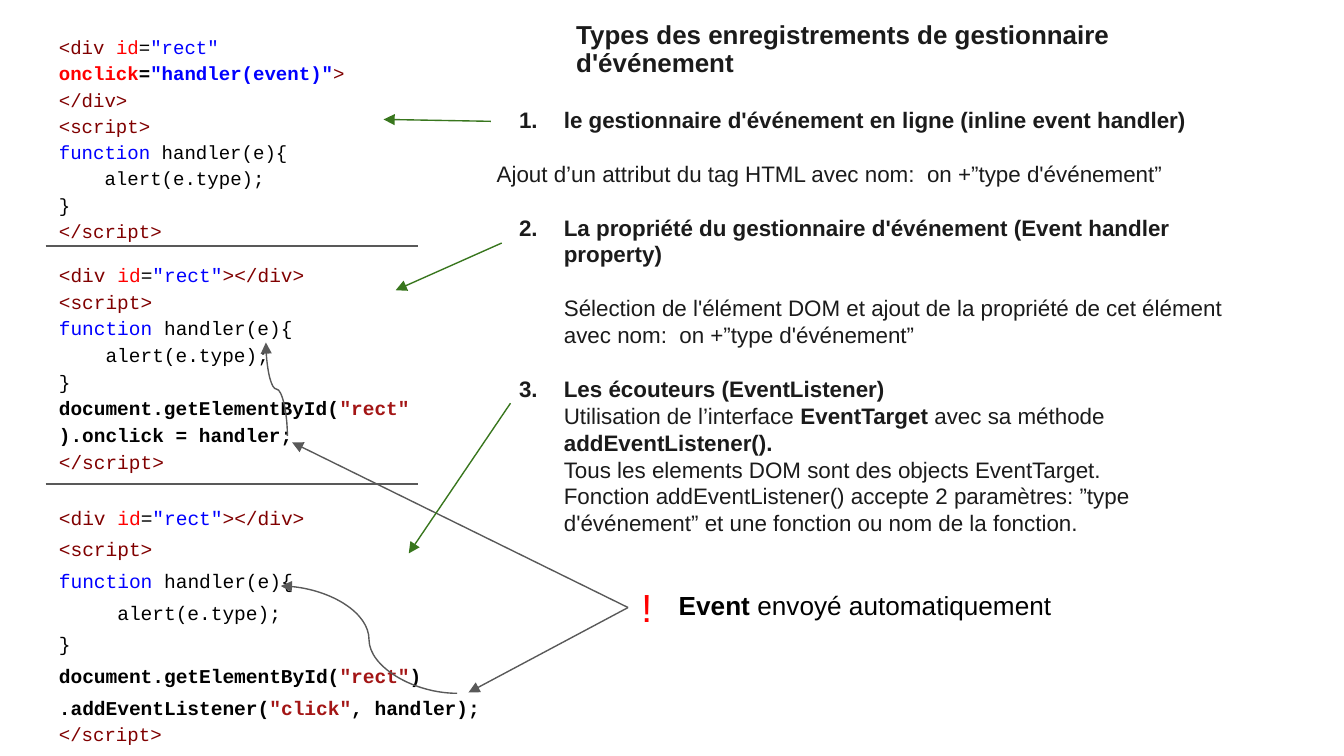
from lxml.etree import SubElement
from pptx import Presentation
from pptx.dml.color import RGBColor
from pptx.enum.shapes import MSO_CONNECTOR as CONNECTOR
from pptx.enum.text import MSO_ANCHOR as ANCHOR, MSO_AUTO_SIZE as AUTO_SIZE, PP_ALIGN as ALIGN
from pptx.oxml.ns import qn
from pptx.util import Pt

BLACK = RGBColor(0x00, 0x00, 0x00)
INK = RGBColor(0x1B, 0x1B, 0x1B)
GRAY = RGBColor(0x59, 0x59, 0x59)
GREEN = RGBColor(0x38, 0x76, 0x1D)
RED = RGBColor(0xFF, 0x00, 0x00)
BLUE = RGBColor(0x00, 0x00, 0xFF)
TAG = RGBColor(0x80, 0x00, 0x00)
STRING = RGBColor(0xA3, 0x15, 0x15)

SANS, MONO = "Arial", "Courier New"
LINE_GAP = 14.4
INDENT, HANGING = 36, 24


class SlideBuilder:
    """Holds the shared text and line style and the slide being filled."""

    inset = 7.2
    line_width = 0.75

    def __init__(self, slide):
        self.slide = slide

    def prepare(self, shape):
        """Give a text shape the common frame settings and return its frame."""
        frame = shape.text_frame
        frame.word_wrap = True
        frame.auto_size = AUTO_SIZE.NONE
        frame.vertical_anchor = ANCHOR.TOP
        frame.margin_left = frame.margin_right = Pt(self.inset)
        frame.margin_top = frame.margin_bottom = Pt(self.inset)
        return frame

    def add_run(self, paragraph, text, font, size, color, bold=False):
        run = paragraph.add_run()
        run.text = text
        run.font.name = font
        run.font.size = Pt(size)
        run.font.bold = bold
        run.font.color.rgb = color

    def title(self, text, left, top, width, height, size):
        shape = self.slide.shapes.title
        shape.left, shape.top = Pt(left), Pt(top)
        shape.width, shape.height = Pt(width), Pt(height)
        paragraph = self.prepare(shape).paragraphs[0]
        paragraph.alignment = ALIGN.LEFT
        paragraph.line_spacing = 0.9
        self.add_run(paragraph, text, SANS, size, INK, True)

    def text_box(self, left, top, width, height):
        return self.prepare(self.slide.shapes.add_textbox(
            Pt(left), Pt(top), Pt(width), Pt(height)))

    def paragraph(self, frame, first):
        return frame.paragraphs[0] if first else frame.add_paragraph()

    def code(self, left, top, width, height, size, lines, spacing=1.15, last_size=None):
        """Add a code listing; its last line may have its own size and 1.15 spacing."""
        frame = self.text_box(left, top, width, height)
        for index, runs in enumerate(lines):
            paragraph = self.paragraph(frame, index == 0)
            is_last = index == len(lines) - 1
            paragraph.line_spacing = 1.15 if is_last else spacing
            run_size = last_size if is_last and last_size else size
            for text, *style in runs:
                self.add_run(paragraph, text, MONO, run_size, *style)

    def explanations(self, left, top, width, height, size, entries):
        """Add paragraphs given as (number, indent, space before, runs)."""
        frame = self.text_box(left, top, width, height)
        for index, (number, indent, before, runs) in enumerate(entries):
            paragraph = self.paragraph(frame, index == 0)
            paragraph.space_before = Pt(before)
            properties = paragraph._p.get_or_add_pPr()
            properties.set("marL", str(Pt(indent)))
            properties.set("indent", str(Pt(-HANGING if number else 0)))
            if number:
                bullet = SubElement(properties, qn("a:buAutoNum"))
                bullet.set("type", "arabicPeriod")
                bullet.set("startAt", str(number))
            for text, bold in runs:
                self.add_run(paragraph, text, SANS, size, INK, bold)

    def label(self, left, top, width, height, size, runs):
        paragraph = self.text_box(left, top, width, height).paragraphs[0]
        for text, *style in runs:
            self.add_run(paragraph, text, SANS, size, *style)

    def line(self, begin, end, color=GRAY, arrow=False, kind=CONNECTOR.STRAIGHT):
        connector = self.slide.shapes.add_connector(
            kind, *(Pt(value) for value in (*begin, *end)))
        connector.line.color.rgb = color
        connector.line.width = Pt(self.line_width)
        if arrow:
            tail = SubElement(connector.line._get_or_add_ln(), qn("a:tailEnd"))
            tail.set("type", "triangle")
        SubElement(connector._element.spPr, qn("a:effectLst"))
        return connector

    def curve(self, begin, end, upright=False):
        """Add a curved arrow; an upright one leaves and arrives vertically."""
        if not upright:
            return self.line(begin, end, arrow=True, kind=CONNECTOR.CURVE)
        center_x, center_y = ((a + b) / 2 for a, b in zip(begin, end))
        turned = [(center_x + y - center_y, center_y - x + center_x)
                  for x, y in (begin, end)]
        connector = self.line(*turned, arrow=True, kind=CONNECTOR.CURVE)
        connector._element.spPr.find(qn("a:xfrm")).set("rot", "5400000")
        return connector


DIV_START = [("<div ", TAG), ("id", RED), ("=", BLACK)]
DIV_LINE = DIV_START + [('"rect"', BLUE), ("></div>", TAG)]
SCRIPT_END = [("</script>", TAG)]
GET_ELEMENT = [("document.getElementById(", BLACK, True), ('"rect"', STRING, True)]


def handler_lines(indent=4):
    return [
        [("<script>", TAG)],
        [("function", BLUE), (" handler(e){", BLACK)],
        [(" " * indent + "alert(e.type);", BLACK)],
        [("}", BLACK)],
    ]


INLINE_CODE = [
    DIV_START + [('"rect" ', BLUE), ("onclick", RED, True), ("=", BLACK, True),
                 ('"handler(event)"', BLUE, True), ("></div>", TAG)],
    *handler_lines(),
    SCRIPT_END,
]
PROPERTY_CODE = [
    DIV_LINE,
    *handler_lines(),
    GET_ELEMENT + [(").onclick = handler;", BLACK, True)],
    SCRIPT_END,
]
LISTENER_CODE = [
    DIV_LINE,
    *handler_lines(5),
    GET_ELEMENT + [(")", BLACK, True)],
    [(".addEventListener(", BLACK, True), ('"click"', STRING, True),
     (", handler);", BLACK, True)],
    SCRIPT_END,
]
EXPLANATIONS = [
    (1, INDENT, 0, [("le gestionnaire d'événement en ligne (inline event handler)", True)]),
    (None, 0, LINE_GAP,
     [("Ajout d’un attribut du tag HTML avec nom:  on +”type d'événement”", False)]),
    (2, INDENT, LINE_GAP,
     [("La propriété du gestionnaire d'événement (Event handler property)", True)]),
    (None, INDENT, LINE_GAP,
     [("Sélection de l'élément DOM et ajout de la propriété de cet élément "
       "avec nom:  on +”type d'événement”", False)]),
    (3, INDENT, LINE_GAP, [("Les écouteurs (EventListener)", True)]),
    (None, INDENT, 0,
     [("Utilisation de l’interface ", False), ("EventTarget", True),
      (" avec sa méthode ", False), ("addEventListener().", True)]),
    (None, INDENT, 0, [("Tous les elements DOM sont des objects EventTarget.", False)]),
    (None, INDENT, 0,
     [("Fonction addEventListener() accepte 2 paramètres: ”type d'événement” "
       "et une fonction ou nom de la fonction.", False)]),
]


def main():
    presentation = Presentation()
    presentation.slide_width, presentation.slide_height = Pt(720), Pt(405)
    builder = SlideBuilder(presentation.slides.add_slide(presentation.slide_layouts[5]))

    builder.title("Types des enregistrements de gestionnaire d'événement",
                  301.5, 4.5, 386.5, 45.5, 13.9)

    code_left, divider_right = 24.5, 224
    property_top, listener_top = 131.8, 259.3
    builder.code(code_left, 10, 168.5, 156, 10.2, INLINE_CODE)
    builder.explanations(259, 49.7, 426, 259, 12, EXPLANATIONS)
    builder.code(code_left, property_top, 207.5, 145.5, 10.4, PROPERTY_CODE)
    builder.code(code_left, listener_top, 263, 164, 10.5, LISTENER_CODE, 1.35, 10.2)
    for top in (property_top, listener_top):
        builder.line((code_left, top), (divider_right, top))

    builder.label(336.5, 305.5, 20, 65, 21, [("!", RED)])
    builder.label(356.5, 308.5, 286.5, 31, 14,
                  [("Event ", BLACK, True), ("envoyé automatiquement", BLACK)])

    event_point = (336.5, 325.5)
    for target in ((156.5, 237), (251, 371)):
        builder.line(event_point, target, arrow=True)
    builder.curve((154, 233.5), (142.5, 183.5), upright=True)
    builder.curve((245, 371.5), (150.5, 314))

    for begin, end in (
        ((263, 65), (205.5, 64)),
        ((268.8, 130.2), (212, 155.5)),
        ((273.5, 216), (219, 296.5)),
    ):
        builder.line(begin, end, GREEN, arrow=True)

    presentation.save("out.pptx")


if __name__ == "__main__":
    main()
